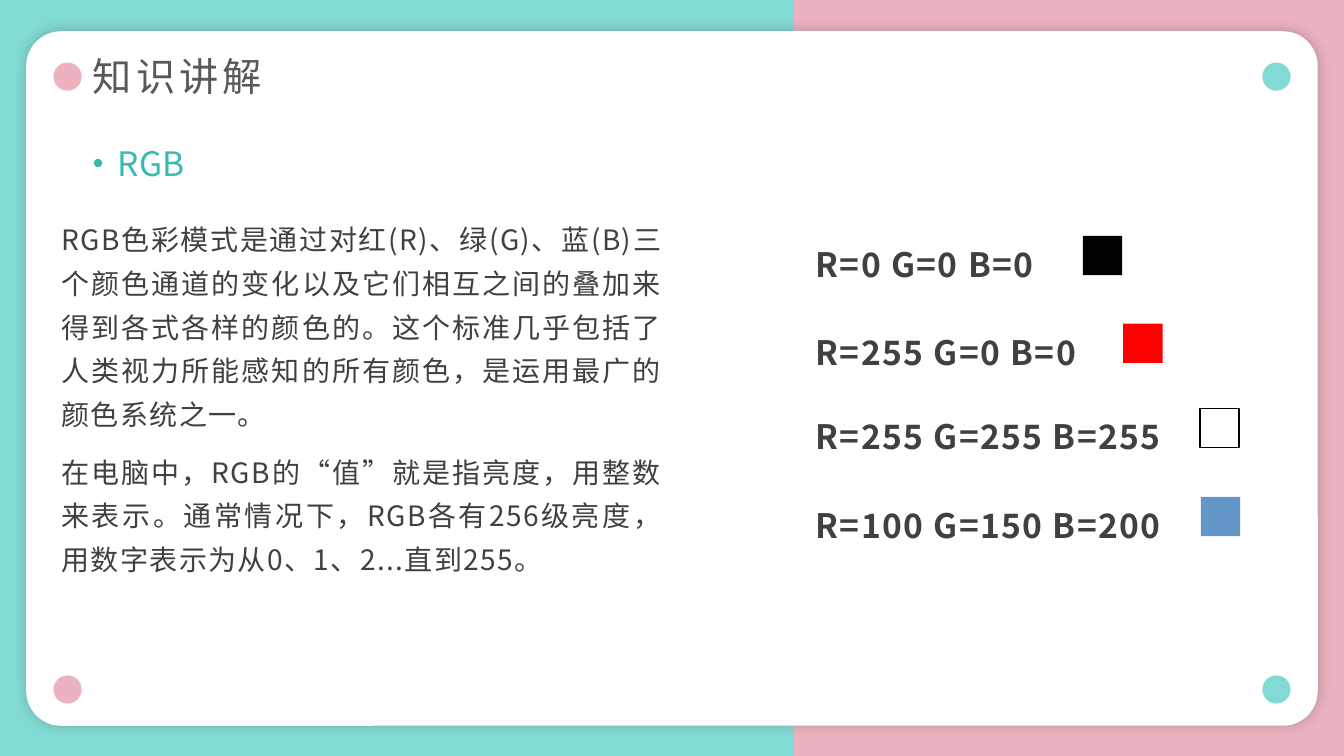
from dataclasses import dataclass
from lxml import etree
from pptx import Presentation, util as u
from pptx.dml.color import RGBColor
from pptx.enum import shapes, text
from pptx.oxml.ns import qn


@dataclass
class Theme:
    face: str = "Noto Sans CJK SC"
    teal: str = "81DBD4"
    pink: str = "ECB2C0"
    white: str = "FFFFFF"
    black: str = "000000"
    accent: str = "35BBB1"
    gray: str = "595959"
    ink: str = "404040"
    title: int = 28
    head: int = 24
    body: int = 20


def add(root, tag, **attrs):
    return etree.SubElement(root, qn(tag), attrs)


class Deck:
    def __init__(self, theme):
        self.theme = theme
        self.prs = Presentation()
        self.prs.slide_width = u.Inches(13.33)
        self.prs.slide_height = u.Inches(7.5)
        self.slide = self.prs.slides.add_slide(self.prs.slide_layouts[6])

    def back(self, color):
        fill = self.slide.background.fill
        fill.solid()
        fill.fore_color.rgb = RGBColor.from_string(color)

    def shape(self, kind, at, color, edge=None):
        item = self.slide.shapes.add_shape(kind, *map(u.Inches, at))
        item.shadow.inherit = False
        item.fill.solid()
        item.fill.fore_color.rgb = RGBColor.from_string(color)
        if edge:
            item.line.color.rgb = RGBColor.from_string(edge)
            item.line.width = u.Pt(1)
        else:
            item.line.fill.background()
        return item

    def card(self, at, color, round_by):
        """Rounded panel with a soft shadow."""
        item = self.shape(shapes.MSO_SHAPE.ROUNDED_RECTANGLE, at, color)
        item.adjustments[0] = round_by
        glow = add(item._element.spPr.find(qn("a:effectLst")), "a:outerShdw",
                   blurRad=str(u.Pt(9)), dist=str(u.Pt(1)), dir="0",
                   algn="ctr", rotWithShape="0")
        tone = add(glow, "a:srgbClr", val=self.theme.gray)
        add(tone, "a:alpha", val="36000")

    def text(self, at, lines, size, color, bold=False, track=0,
             inset=(0, 0.05), bullet=False, para=None, **frame):
        """Text box; track is letter spacing in points."""
        box = self.slide.shapes.add_textbox(*map(u.Inches, at)).text_frame
        side, end = map(u.Inches, inset)
        style = dict(word_wrap=True, margin_left=side, margin_right=side,
                     margin_top=end, margin_bottom=end, **frame)
        for key, val in style.items():
            setattr(box, key, val)
        for num, line in enumerate(lines):
            par = box.paragraphs[0] if num == 0 else box.add_paragraph()
            for key, val in (para or {}).items():
                setattr(par, key, val)
            if num:
                par.space_before = u.Pt(10)
            if bullet:
                props = par._p.get_or_add_pPr()
                props.set("marL", str(u.Inches(0.25)))
                props.set("indent", str(u.Inches(-0.25)))
                add(props, "a:buSzPct", val="90000")
                add(props, "a:buFont", typeface="Arial")
                add(props, "a:buChar", char="•")
            run = par.add_run()
            run.text = line
            font = run.font
            font.color.rgb = RGBColor.from_string(color)
            for key, val in dict(size=u.Pt(size), bold=bold,
                                 name=self.theme.face).items():
                setattr(font, key, val)
            props = run._r.get_or_add_rPr()
            props.set("spc", str(track * 100))
            add(props, "a:ea", typeface=self.theme.face)


def main():
    look = Theme()
    deck = Deck(look)
    kinds = shapes.MSO_SHAPE
    middle = text.MSO_ANCHOR.MIDDLE
    both = text.PP_ALIGN.JUSTIFY

    deck.back(look.pink)
    deck.shape(kinds.RECTANGLE, (-0.02, 0, 7.89, 7.5), look.teal)
    deck.card((0.26, 0.31, 12.81, 6.89), look.white, 0.05)
    for top in (0.62, 6.7):
        for left, color in ((0.53, look.pink), (12.52, look.teal)):
            deck.shape(kinds.OVAL, (left, top, 0.28, 0.28), color)

    deck.text((0.92, 0.52, 5.59, 0.53), ["知识讲解"], look.title, look.gray,
              track=3, para={"line_spacing": 0.9}, vertical_anchor=middle)
    deck.text((0.92, 1.37, 5.59, 0.5), ["RGB"], look.head, look.accent,
              bullet=True, para={"alignment": both}, vertical_anchor=middle)
    deck.text((0.51, 2.06, 6.16, 3.7), [
        "RGB色彩模式是通过对红(R)、绿(G)、蓝(B)三个颜色通道的变化以及它们相互之间的"
        "叠加来得到各式各样的颜色的。这个标准几乎包括了人类视力所能感知的所有颜色，"
        "是运用最广的颜色系统之一。",
        "在电脑中，RGB的“值”就是指亮度，用整数来表示。通常情况下，RGB各有256级亮度，"
        "用数字表示为从0、1、2...直到255。",
    ], look.body, look.ink, track=1, inset=(0.1, 0.05),
        para={"alignment": both, "line_spacing": 1.3})

    swatches = [
        (10.74, 2.34, (0, 0, 0), None),
        (11.14, 3.21, (255, 0, 0), None),
        (11.9, 4.05, (255, 255, 255), look.black),
        (11.91, 4.93, (100, 150, 200), None),
    ]
    for left, top, rgb, edge in swatches:
        deck.shape(kinds.RECTANGLE, (left, top, 0.39, 0.39),
                   str(RGBColor(*rgb)), edge)
        deck.text((8.09, top - 0.04, 3.86, 0.47),
                  ["R={} G={} B={}".format(*rgb)], look.head, look.ink,
                  bold=True, track=1, inset=(0, 0),
                  para={"line_spacing": 1.3})

    deck.prs.save("out.pptx")


if __name__ == "__main__":
    main()
